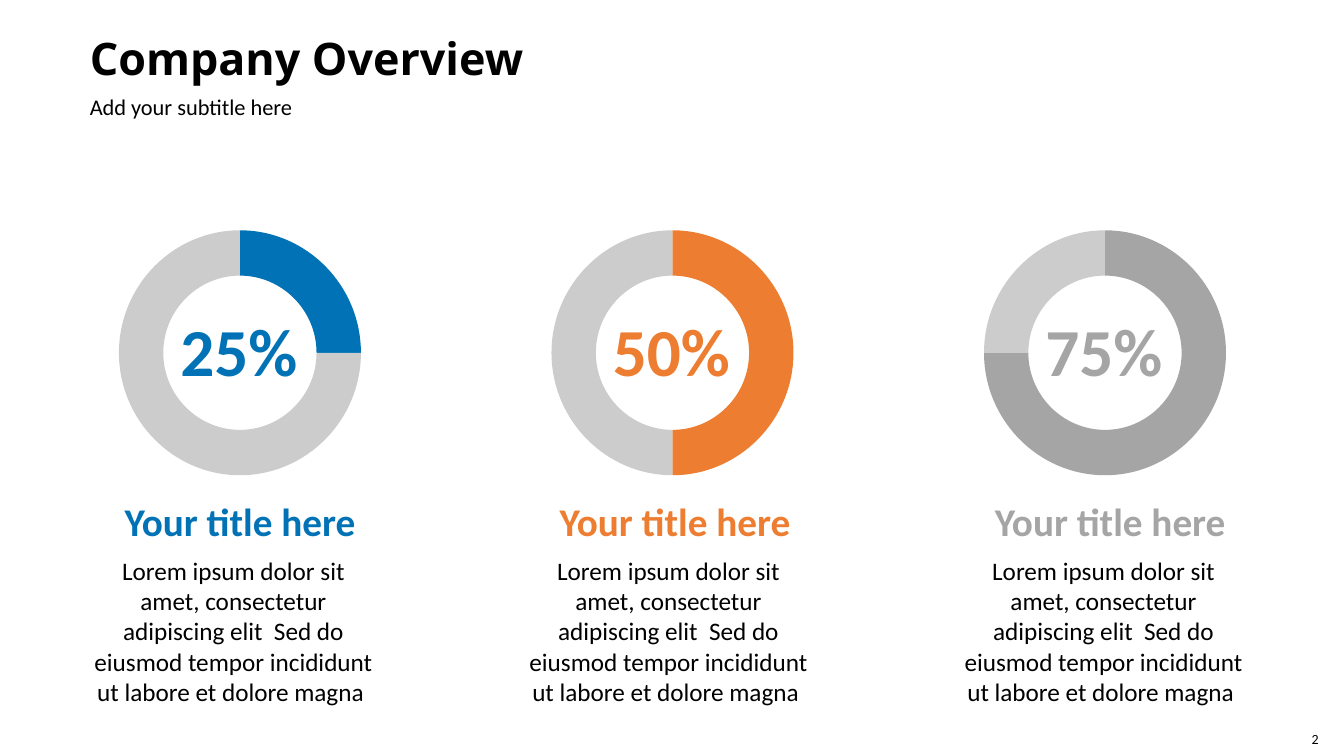
"""Build a company overview slide with three percentage rings."""
import math

import lxml.etree
import pptx
import pptx.dml.color
import pptx.enum.shapes
import pptx.enum.text
import pptx.oxml.ns
import pptx.util
from pptx.util import Inches

ALIGN = pptx.enum.text.PP_ALIGN
ANCHOR = pptx.enum.text.MSO_ANCHOR
AUTO_SIZE = pptx.enum.text.MSO_AUTO_SIZE
qualified = pptx.oxml.ns.qn

TRACK = "CCCCCC"
RING_CENTRE_Y = 3.5
DISC_SIZE = 3.05
OUTER_RADII = (1.2, 1.215)
INNER_RADII = (0.76, 0.765)
CURVE_FACTOR = 0.55
FIRST_CENTRE = 2.38
RING_PITCH = 4.29
CAPTION_PITCH = 4.315
GAUGES = [(25, "0072B5"), (50, "ED7D31"), (75, "A5A5A5")]
DESCRIPTION = (
    "Lorem ipsum dolor sit amet, consectetur adipiscing elit  Sed do "
    "eiusmod tempor incididunt ut labore et dolore magna "
)


def colour(value):
    return pptx.dml.color.RGBColor.from_string(value)


def apply(target, values):
    for name, value in values.items():
        setattr(target, name, value)


def place(shape, left, top, width, height):
    box = zip(("left", "top", "width", "height"), (left, top, width, height))
    apply(shape, {name: Inches(value) for name, value in box})


def paint(shape, fill):
    shape.shadow.inherit = False
    shape.fill.solid()
    shape.fill.fore_color.rgb = colour(fill)
    shape.line.fill.background()


def write(shape, text, size, fill="000000", font="Calibri", bold=False,
          frame_format=None, paragraph_format=None):
    frame = shape.text_frame
    frame.text = text
    apply(frame, {"word_wrap": True, "auto_size": AUTO_SIZE.SHAPE_TO_FIT_TEXT,
                  **(frame_format or {})})
    paragraph = frame.paragraphs[0]
    apply(paragraph, paragraph_format or {})
    run_font = paragraph.runs[0].font
    apply(run_font, {"name": font, "size": pptx.util.Pt(size), "bold": bold})
    run_font.color.rgb = colour(fill)


def add_text(slide, box, text, size, **formats):
    shape = slide.shapes.add_textbox(*map(Inches, box))
    write(shape, text, size, **formats)


def add_heading(slide):
    title, subtitle = slide.placeholders
    place(title, 0.79, 0.25, 11.83, 0.64)
    write(title, "Company Overview", 32, font="Open Sans", bold=True,
          frame_format={"vertical_anchor": ANCHOR.MIDDLE},
          paragraph_format={"alignment": ALIGN.LEFT, "line_spacing": 1.0})
    place(subtitle, 0.79, 0.92, 11.83, 0.27)
    write(subtitle, "Add your subtitle here", 16,
          frame_format={"margin_left": Inches(0.1), "margin_top": 0,
                        "margin_right": 0, "margin_bottom": 0},
          paragraph_format={"alignment": ALIGN.LEFT,
                            "space_before": pptx.util.Pt(0)})
    properties = subtitle.text_frame.paragraphs[0]._p.get_or_add_pPr()
    apply_indent = {"marL": "0", "indent": "0"}
    for name, value in apply_indent.items():
        properties.set(name, value)
    lxml.etree.SubElement(properties, qualified("a:buNone"))


def arc_points(centre_x, radii, first_quarter, last_quarter):
    def point(quarter, tangent):
        angle = quarter * math.pi / 2
        sine, cosine = math.sin(angle), math.cos(angle)
        return (Inches(centre_x + radii[0] * (sine + tangent * cosine)),
                Inches(RING_CENTRE_Y - radii[1] * (cosine - tangent * sine)))

    points = [point(first_quarter, 0)]
    for quarter in range(first_quarter, last_quarter):
        points += [point(quarter, CURVE_FACTOR),
                   point(quarter + 1, -CURVE_FACTOR), point(quarter + 1, 0)]
    return points


def curve_segments(shape, starts):
    outline = shape.element.find(".//" + qualified("a:path"))
    segments = list(outline)
    for start in starts:
        group = segments[start:start + 3]
        curve = outline.makeelement(qualified("a:cubicBezTo"))
        group[0].addprevious(curve)
        for segment in group:
            curve.append(segment[0])
            outline.remove(segment)


def add_ring_part(slide, centre_x, first_quarter, last_quarter, fill):
    outer = arc_points(centre_x, OUTER_RADII, first_quarter, last_quarter)
    inner = arc_points(centre_x, INNER_RADII, first_quarter, last_quarter)
    builder = slide.shapes.build_freeform(*outer[0])
    builder.add_line_segments(outer[1:] + inner[::-1] + outer[:1], close=True)
    shape = builder.convert_to_shape()
    count = len(outer)
    curve_segments(shape, [*range(1, count, 3),
                           *range(count + 1, 2 * count, 3)])
    paint(shape, fill)


def add_disc(slide, centre_x):
    corner = (centre_x - DISC_SIZE / 2, RING_CENTRE_Y - DISC_SIZE / 2)
    shape = slide.shapes.add_shape(
        pptx.enum.shapes.MSO_SHAPE.OVAL,
        *map(Inches, (*corner, DISC_SIZE, DISC_SIZE)))
    paint(shape, "FFFFFF")
    fill_colour = shape.element.spPr.find(".//" + qualified("a:srgbClr"))
    lxml.etree.SubElement(fill_colour, qualified("a:alpha"), val="74000")


def add_gauge(slide, centre_x, percent, fill):
    quarters = percent // 25
    add_disc(slide, centre_x)
    add_ring_part(slide, centre_x, 0, quarters, fill)
    add_ring_part(slide, centre_x, quarters, 4, TRACK)
    add_text(slide, (centre_x - 0.69, 3.02, 1.38, 0.91), f"{percent}%", 48,
             fill=fill, bold=True, frame_format={"word_wrap": False})


def add_caption(slide, centre_x, fill):
    centred = {"alignment": ALIGN.CENTER}
    add_text(slide, (centre_x - 1.99, 4.88, 3.98, 0.57), "Your title here", 28,
             fill=fill, bold=True, paragraph_format=centred)
    add_text(slide, (centre_x - 1.56, 5.46, 2.99, 1.62), DESCRIPTION, 18,
             paragraph_format=centred)


def add_slide_number(slide):
    margins = ("margin_left", "margin_top", "margin_right", "margin_bottom")
    add_text(slide, (12.92, 7.25, 0.16, 0.17), "2", 10,
             frame_format={**dict.fromkeys(margins, 0), "word_wrap": False,
                           "vertical_anchor": ANCHOR.MIDDLE},
             paragraph_format={"alignment": ALIGN.RIGHT})


def main():
    presentation = pptx.Presentation()
    apply(presentation, {"slide_width": Inches(13.33),
                         "slide_height": Inches(7.5)})
    slide = presentation.slides.add_slide(presentation.slide_layouts[1])
    add_slide_number(slide)
    for index, (percent, fill) in enumerate(GAUGES):
        add_caption(slide, FIRST_CENTRE + index * CAPTION_PITCH, fill)
    add_heading(slide)
    for index, (percent, fill) in enumerate(GAUGES):
        add_gauge(slide, FIRST_CENTRE + index * RING_PITCH, percent, fill)
    presentation.save("out.pptx")


main()
